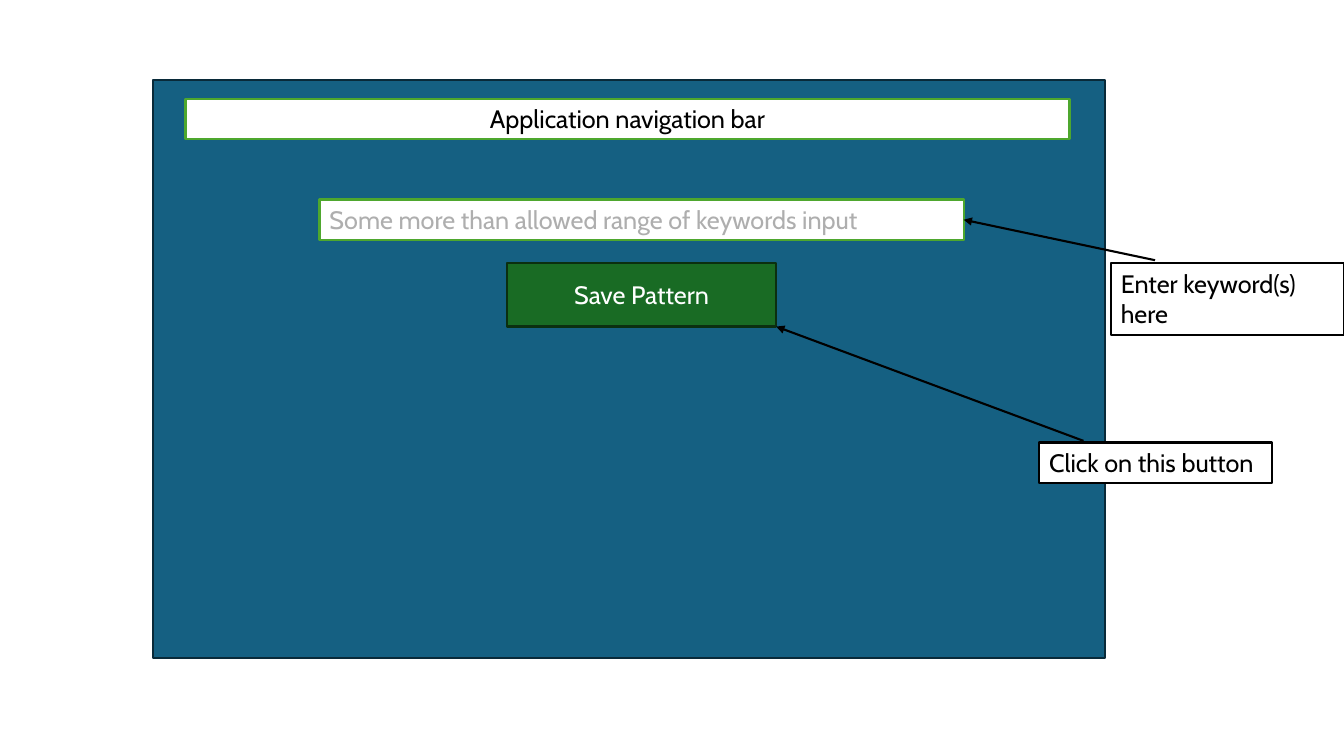
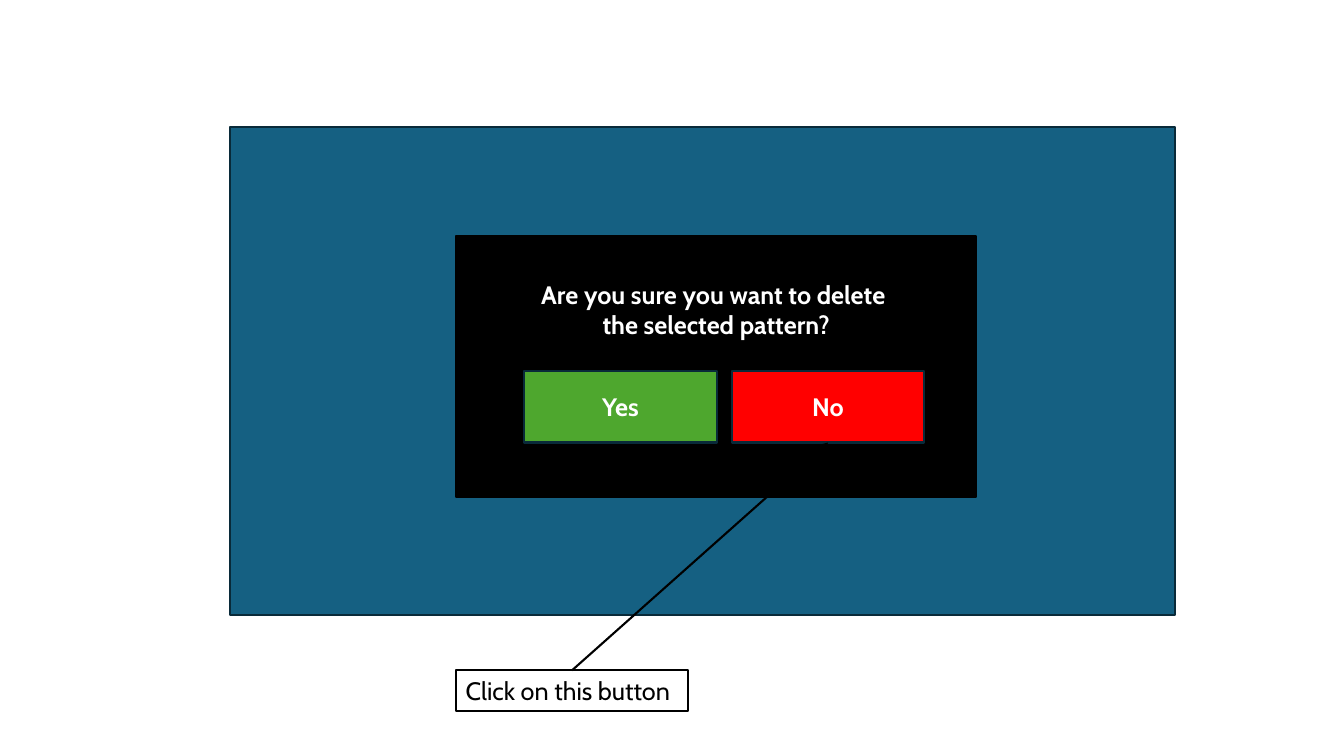
"""Build two annotated wireframes: saving a pattern and confirming its deletion."""
from dataclasses import dataclass, replace

from lxml import etree
from pptx import Presentation
from pptx.dml.color import RGBColor
from pptx.enum.shapes import MSO_CONNECTOR, MSO_SHAPE
from pptx.enum.text import MSO_ANCHOR, MSO_AUTO_SIZE, PP_ALIGN
from pptx.oxml.ns import qn
from pptx.slide import Slide
from pptx.util import Inches, Pt

RECT = MSO_SHAPE.RECTANGLE
STRAIGHT = MSO_CONNECTOR.STRAIGHT
LEFT, CENTER = PP_ALIGN.LEFT, PP_ALIGN.CENTER
TOP, MIDDLE = MSO_ANCHOR.TOP, MSO_ANCHOR.MIDDLE
GROW = MSO_AUTO_SIZE.SHAPE_TO_FIT_TEXT

CELL = Inches(0.1)
COLUMNS, ROWS = 133.33, 75
FONT, TEXT_SIZE, LINE_WIDTH = "Cabin", Pt(18), Pt(1.5)
COLORS = {
    "white": "FFFFFF",
    "black": "000000",
    "window": "156082",
    "window_edge": "092A39",
    "save": "196B24",
    "save_edge": "0B2F10",
    "green": "4EA72E",
    "red": "FF0000",
    "hint": "AEAEAE",
}


@dataclass(frozen=True)
class Box:
    """A rectangle measured in grid columns and rows."""

    col: float
    row: float
    cols: float
    rows: float

    def at(self, across: float, down: float) -> tuple[float, float]:
        """Return the point at the given shares of the width and height."""
        return self.col + across * self.cols, self.row + down * self.rows


@dataclass(frozen=True)
class Style:
    """Colours and text layout of one kind of panel."""

    fill: str | None
    edge: str | None
    color: str = "white"
    align: PP_ALIGN = CENTER
    anchor: MSO_ANCHOR = MIDDLE
    bold: bool = False
    grow: bool = False
    wrap: bool = True


WINDOW = Style("window", "window_edge")
NAV_BAR = Style("white", "green", "black")
INPUT = Style("white", "green", "hint", LEFT)
SAVE = Style("save", "save_edge")
DIALOG = Style("black", "black")
PROMPT = Style(None, None, anchor=TOP, bold=True, grow=True, wrap=False)
YES = Style("green", "window_edge", bold=True)
NO = replace(YES, fill="red")
CALLOUT = Style("white", "black", "black", LEFT, TOP, grow=True, wrap=False)
WRAPPED_CALLOUT = replace(CALLOUT, wrap=True)
CLICK_TEXT = "Click on this button"


def rgb(name: str) -> RGBColor:
    """Look up a colour by name."""
    return RGBColor.from_string(COLORS[name])


def add_panel(slide: Slide, box: Box, style: Style, *lines: str) -> Box:
    """Draw a panel with one paragraph per line and return its box."""
    place = [round(v * CELL) for v in (box.col, box.row, box.cols, box.rows)]
    if style.fill is None:
        sp = slide.shapes.add_textbox(*place)
    else:
        sp = slide.shapes.add_shape(RECT, *place)
        sp.shadow.inherit = False
        sp.fill.solid()
        sp.fill.fore_color.rgb = rgb(style.fill)
        sp.line.color.rgb = rgb(style.edge)
        sp.line.width = LINE_WIDTH
    tf = sp.text_frame
    tf.word_wrap = style.wrap
    tf.vertical_anchor = style.anchor
    if style.grow:
        tf.auto_size = GROW
    for i, line in enumerate(lines):
        p = tf.add_paragraph() if i else tf.paragraphs[0]
        p.text = line
        p.alignment = style.align
        p.font.name = FONT
        p.font.size = TEXT_SIZE
        p.font.bold = style.bold
        p.font.color.rgb = rgb(style.color)
    return box


def add_arrow(slide: Slide, start: tuple[float, float], end: tuple[float, float]) -> None:
    """Draw a straight arrow between two grid points."""
    points = [round(v * CELL) for v in (*start, *end)]
    cxn = slide.shapes.add_connector(STRAIGHT, *points)
    cxn.line.color.rgb = rgb("black")
    cxn.line.width = LINE_WIDTH
    ln = cxn.line._get_or_add_ln()
    etree.SubElement(ln, qn("a:tailEnd"), type="triangle")
    etree.SubElement(cxn._element.spPr, qn("a:effectLst"))


def add_click_callout(slide: Slide, col: float, row: float) -> Box:
    """Draw the one-line callout that points at a button."""
    return add_panel(slide, Box(col, row, 23.1, 4), CALLOUT, CLICK_TEXT)


def draw_save_pattern(slide: Slide) -> None:
    """Draw the form that saves a pattern."""
    add_panel(slide, Box(15.2, 7.9, 94.4, 57.4), WINDOW)
    add_panel(slide, Box(18.4, 9.8, 87.7, 4), NAV_BAR, "Application navigation bar")
    keywords = add_panel(slide, Box(31.7, 19.8, 63.9, 4), INPUT,
                         "Some more than allowed range of keywords input")
    save = add_panel(slide, Box(50.3, 26.1, 26.7, 6.3), SAVE, "Save Pattern")
    enter = add_panel(slide, Box(110.2, 26.1, 23.1, 7.1), WRAPPED_CALLOUT,
                      "Enter keyword(s) here")
    click = add_click_callout(slide, 103.1, 43.9)
    for callout, target in ((enter, keywords.at(1, 0.5)), (click, save.at(1, 1))):
        add_arrow(slide, callout.at(0.19, -0.04), target)


def draw_confirm_delete(slide: Slide) -> None:
    """Draw the dialog that confirms deletion."""
    add_panel(slide, Box(22.8, 12.6, 93.8, 48.4), WINDOW)
    dialog = add_panel(slide, Box(45.2, 23.4, 51.6, 25.9), DIALOG)
    add_panel(slide, Box(52, 27.2, 38.1, 7.1), PROMPT,
              "Are you sure you want to delete ", "the selected pattern?")
    yes = add_panel(slide, Box(52, 36.8, 19.1, 7.1), YES, "Yes")
    no = add_panel(slide, replace(yes, col=yes.col + yes.cols + 1.5), NO, "No")
    click = add_click_callout(slide, dialog.col, 66.5)
    add_arrow(slide, click.at(0.5, 0), no.at(0.5, 1))


def main() -> None:
    """Build and save the presentation."""
    prs = Presentation()
    prs.slide_width = round(COLUMNS * CELL)
    prs.slide_height = ROWS * CELL
    for draw in (draw_save_pattern, draw_confirm_delete):
        draw(prs.slides.add_slide(prs.slide_layouts[6]))
    prs.save("out.pptx")


if __name__ == "__main__":
    main()
